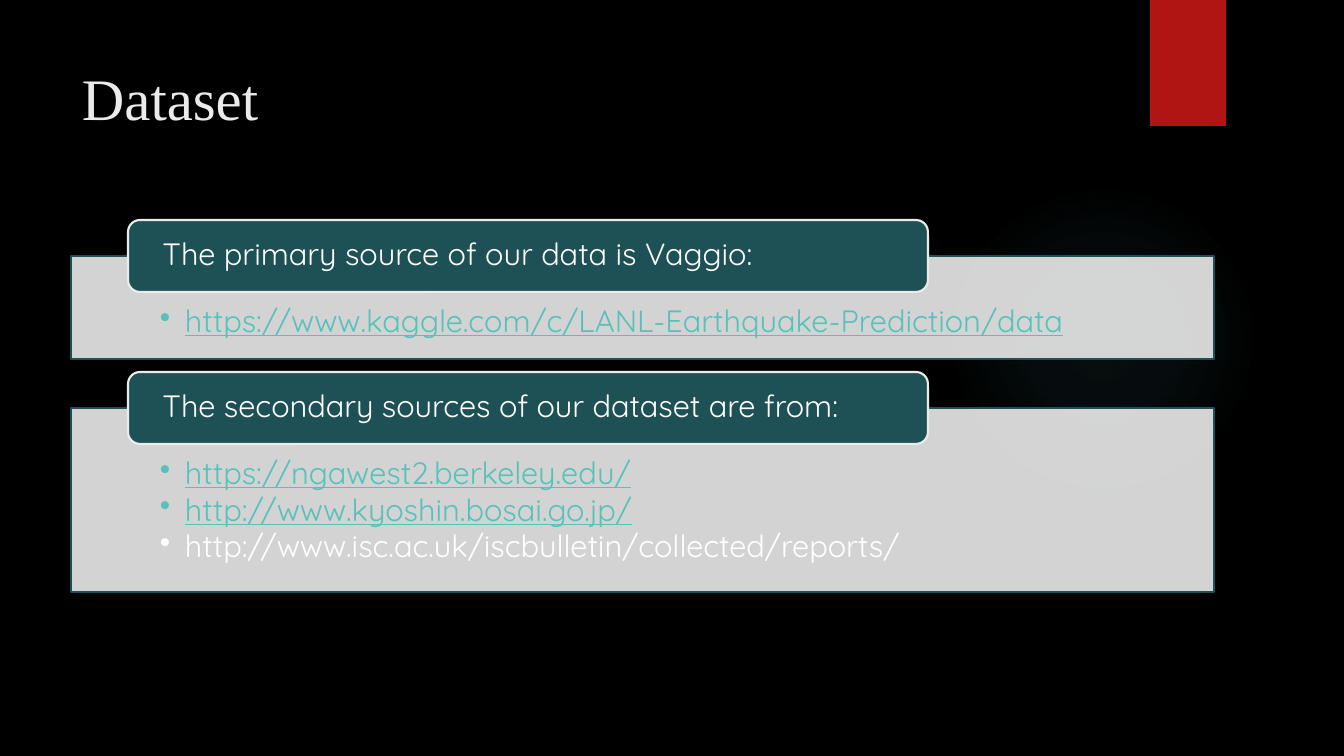
from lxml.etree import SubElement as Sub
from pptx import Presentation
from pptx.dml.color import RGBColor as RGB
from pptx.enum.shapes import MSO_SHAPE as Kind
from pptx.enum.text import MSO_ANCHOR as Anchor, PP_ALIGN as Align
from pptx.oxml.ns import qn
from pptx.util import Emu, Pt

BLACK = RGB(0x00, 0x00, 0x00)
WHITE = RGB(0xFF, 0xFF, 0xFF)
PALE = RGB(0xEB, 0xEB, 0xEB)
TEAL = RGB(0x1E, 0x51, 0x55)
MINT = RGB(0x58, 0xC1, 0xBA)
AQUA = RGB(0x50, 0xB9, 0xC1)
RED = RGB(0xB0, 0x15, 0x13)

WIDE, HIGH = 1344, 756
SCALE = 12192000 / WIDE
HANG = 25
TAB_H = 72

# top of the tab, height of the panel, heading, links as (text, is underlined)
CARDS = [
    (220, 103, "The primary source of our data is Vaggio:",
     [("https://www.kaggle.com/c/LANL-Earthquake-Prediction/data", True)]),
    (372, 184, "The secondary sources of our dataset are from:",
     [("https://ngawest2.berkeley.edu/", True),
      ("http://www.kyoshin.bosai.go.jp/", True),
      ("http://www.isc.ac.uk/iscbulletin/collected/reports/", False)]),
]


def px(num):
    return Emu(round(num * SCALE))


def put(obj, vals):
    """Set every attribute named in a dict."""
    for key, val in vals.items():
        setattr(obj, key, val)


def fade(color, part):
    """Give a colour element an opacity in percent."""
    Sub(color, qn("a:alpha"), val=str(part * 1000))


class Deck:
    body = {"name": "Quicksand", "size": Pt(22)}
    head = {"name": "Times New Roman", "size": Pt(42)}

    def __init__(self):
        self.prs = Presentation()
        put(self.prs, {"slide_width": px(WIDE), "slide_height": px(HIGH)})
        self.slide = self.prs.slides.add_slide(self.prs.slide_layouts[5])
        fill = self.slide.background.fill
        fill.solid()
        fill.fore_color.rgb = BLACK

    def place(self, shape, box):
        put(shape, dict(zip(("left", "top", "width", "height"), map(px, box))))

    def inset(self, frame, sides, anchor):
        names = ("margin_left", "margin_top", "margin_right", "margin_bottom")
        put(frame, dict(zip(names, map(px, sides))))
        put(frame, {"word_wrap": True, "vertical_anchor": anchor})

    def label(self, para, text, look, color):
        """Add one left-aligned run to a paragraph."""
        para.alignment = Align.LEFT
        run = para.add_run()
        run.text = text
        put(run.font, look)
        run.font.color.rgb = color

    def title(self, text, box):
        shape = self.slide.shapes.title
        self.place(shape, box)
        self.inset(shape.text_frame, (10, 12, 10, 5), Anchor.TOP)
        self.label(shape.text_frame.paragraphs[0], text, self.head, PALE)

    def shape(self, kind, box, color, edge=None):
        shape = self.slide.shapes.add_shape(kind, *map(px, box))
        shape.shadow.inherit = False
        shape.fill.solid()
        shape.fill.fore_color.rgb = color
        if edge is None:
            shape.line.fill.background()
        else:
            shape.line.color.rgb = edge
            shape.line.width = Pt(1.5)
        return shape

    def glow(self, box, color, stops):
        """Draw a round light; stops pair a position with an opacity."""
        props = self.shape(Kind.OVAL, box, color)._element.spPr
        solid = props.find(qn("a:solidFill"))
        grad = props.makeelement(qn("a:gradFill"), {"rotWithShape": "1"})
        props.replace(solid, grad)
        steps = Sub(grad, qn("a:gsLst"))
        for pos, part in stops:
            stop = Sub(steps, qn("a:gs"), pos=str(pos * 1000))
            fade(Sub(stop, qn("a:srgbClr"), val=str(color)), part)
        way = Sub(grad, qn("a:path"), {"path": "circle"})
        Sub(way, qn("a:fillToRect"), dict.fromkeys("ltrb", "50000"))

    def panel(self, box, links):
        shape = self.shape(Kind.RECTANGLE, box, PALE, TEAL)
        fade(shape._element.spPr.find(qn("a:solidFill"))[0], 90)
        frame = shape.text_frame
        self.inset(frame, (89, 50, 89, 17), Anchor.TOP)
        for num, (text, under) in enumerate(links):
            para = frame.add_paragraph() if num else frame.paragraphs[0]
            props = para._p.get_or_add_pPr()
            props.set("marL", str(px(HANG)))
            props.set("indent", str(-px(HANG)))
            Sub(props, qn("a:buChar"), char="•")
            put(para, {"level": 1, "line_spacing": 0.9, "space_after": Pt(2.4)})
            look = {**self.body, "underline": under}
            self.label(para, text, look, MINT if under else WHITE)

    def tab(self, box, text):
        shape = self.shape(Kind.ROUNDED_RECTANGLE, box, TEAL, PALE)
        self.inset(shape.text_frame, (31, 0, 31, 0), Anchor.MIDDLE)
        para = shape.text_frame.paragraphs[0]
        para.line_spacing = 0.9
        self.label(para, text, self.body, WHITE)

    def card(self, top, high, text, links):
        """Draw a panel of links with a heading tab across its top edge."""
        self.panel((71, top + TAB_H // 2, 1143, high), links)
        self.tab((128, top, 800, TAB_H), text)


def main():
    deck = Deck()
    deck.glow((948, 184, 310, 310), AQUA, [(0, 7), (36, 6), (69, 0)])
    deck.shape(Kind.RECTANGLE, (1150, 0, 76, 126), RED)
    deck.title("Dataset", (72, 50, 1037, 154))
    for card in CARDS:
        deck.card(*card)
    deck.prs.save("out.pptx")


if __name__ == "__main__":
    main()
